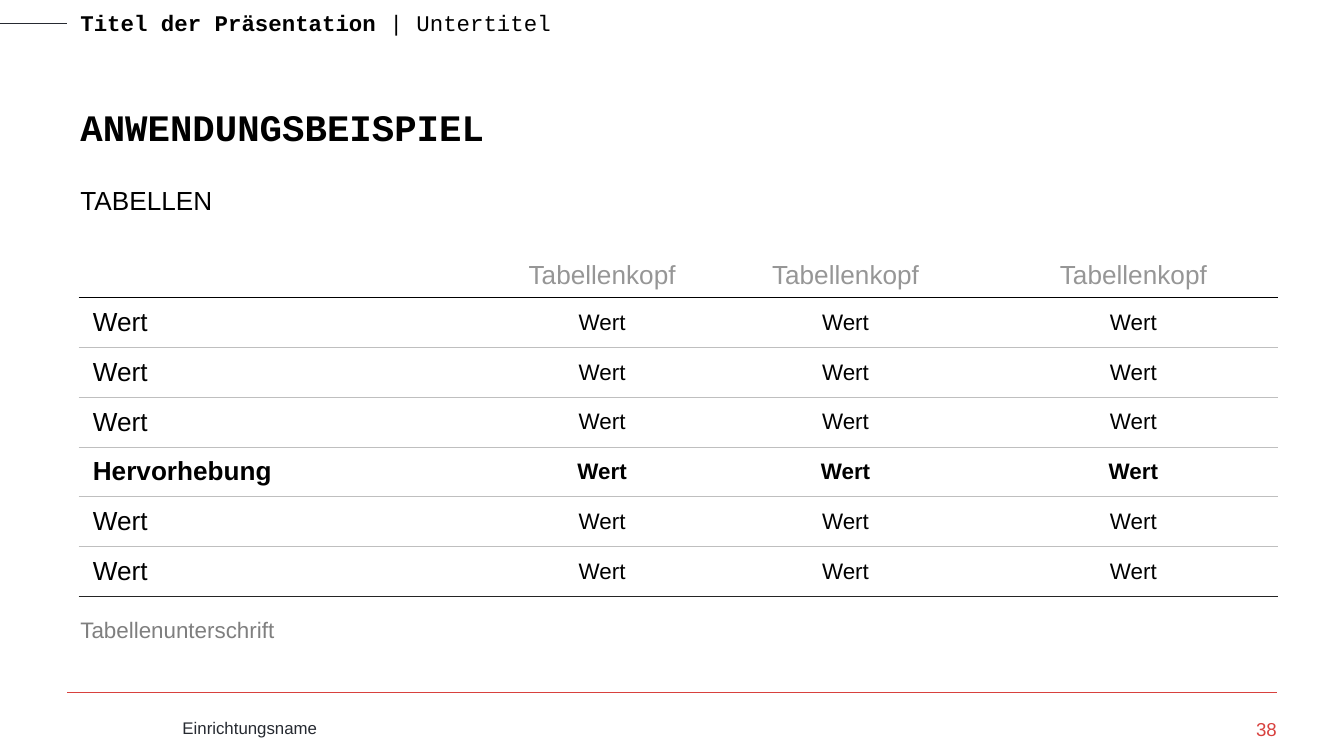
from lxml import etree
from pptx import Presentation
from pptx.dml.color import RGBColor
from pptx.enum.shapes import MSO_CONNECTOR as Connector
from pptx.enum.text import MSO_ANCHOR as Anchor, PP_ALIGN as Align
from pptx.oxml.ns import qn
from pptx.util import Cm, Pt

BLACK = RGBColor(0x00, 0x00, 0x00)
WHITE = RGBColor(0xFF, 0xFF, 0xFF)
INK = RGBColor(0x26, 0x2A, 0x31)
RED = RGBColor(0xD8, 0x41, 0x3E)
CAPTION_GREY = RGBColor(0x7F, 0x7F, 0x7F)
HEAD_GREY = RGBColor(0x96, 0x96, 0x96)
RULE_GREY = RGBColor(0xBF, 0xBF, 0xBF)
END_RULE = RGBColor(0x24, 0x24, 0x24)

SANS = "Arial"
MONO = "Courier New"

LEFT, WIDTH = 1.27, 22.86
COLUMN_WIDTHS = (8.0, 3.76, 5.44, 5.44)
HEAD_HEIGHT, ROW_HEIGHT = 0.84, 0.94
HEADINGS = ("", "Tabellenkopf", "Tabellenkopf", "Tabellenkopf")
ROW_LABELS = ("Wert", "Wert", "Wert", "Hervorhebung", "Wert", "Wert")
HIGHLIGHT = "Hervorhebung"


def style_font(font, size, color, name=SANS, bold=False):
    font.name = name
    font.size = Pt(size)
    font.bold = bold
    font.color.rgb = color


def add_text(page, area, spans, size, color, name=SANS,
             anchor=Anchor.TOP, align=Align.LEFT, inset=True):
    """Add a one-paragraph box; spans are (text, bold) pairs."""
    box = page.shapes.add_textbox(*(Cm(length) for length in area))
    frame = box.text_frame
    frame.word_wrap = True
    frame.vertical_anchor = anchor
    if not inset:
        frame.margin_left = frame.margin_right = 0
        frame.margin_top = frame.margin_bottom = 0
    para = frame.paragraphs[0]
    para.alignment = align
    for text, bold in spans:
        span = para.add_run()
        span.text = text
        style_font(span.font, size, color, name, bold)


def add_rule(page, start, end, y, color):
    rule = page.shapes.add_connector(
        Connector.STRAIGHT, Cm(start), Cm(y), Cm(end), Cm(y))
    rule.line.color.rgb = color
    rule.line.width = Pt(0.25)
    etree.SubElement(rule._element.spPr, qn("a:effectLst"))


def set_border(cell, side, color, width):
    properties = cell._tc.get_or_add_tcPr()
    line = etree.SubElement(properties, qn(f"a:ln{side}"), w=str(Pt(width)))
    fill = etree.SubElement(line, qn("a:solidFill"))
    etree.SubElement(fill, qn("a:srgbClr"), val=str(color))


def fill_cell(cell, text, size, color, bold, align, top, bottom):
    cell.text_frame.text = text
    cell.vertical_anchor = Anchor.MIDDLE
    para = cell.text_frame.paragraphs[0]
    para.alignment = align
    for span in para.runs:
        style_font(span.font, size, color, bold=bold)
    if not text:
        # Keeps the empty cell from stretching its row
        etree.SubElement(para._p, qn("a:endParaRPr"), sz=str(size * 100))

    for side in "LR":
        set_border(cell, side, WHITE, 1)
    if top:
        set_border(cell, "T", *top)
    set_border(cell, "B", *bottom)
    cell.fill.background()


def add_value_table(page):
    row_count = len(ROW_LABELS) + 1
    height = HEAD_HEIGHT + ROW_HEIGHT * len(ROW_LABELS)
    table = page.shapes.add_table(
        row_count, len(COLUMN_WIDTHS), Cm(1.5), Cm(4.78),
        Cm(sum(COLUMN_WIDTHS)), Cm(height)).table
    table.first_row = table.horz_banding = False
    for column, width in zip(table.columns, COLUMN_WIDTHS):
        column.width = Cm(width)
    for index, row in enumerate(table.rows):
        row.height = Cm(ROW_HEIGHT if index else HEAD_HEIGHT)

    # One rule below each row: strong under the head and the last row
    rules = [(RULE_GREY, 0.25)] * row_count
    rules[0] = (BLACK, 0.5)
    rules[-1] = (END_RULE, 0.5)

    for column, heading in enumerate(HEADINGS):
        fill_cell(table.cell(0, column), heading, 14, HEAD_GREY, False,
                  Align.CENTER, None, rules[0])

    for row, label in enumerate(ROW_LABELS, start=1):
        for column in range(len(COLUMN_WIDTHS)):
            text, size, align = (("Wert", 12, Align.CENTER) if column
                                 else (label, 14, Align.LEFT))
            fill_cell(table.cell(row, column), text, size, BLACK,
                      label == HIGHLIGHT, align, rules[row - 1], rules[row])


def main():
    deck = Presentation()
    deck.slide_width, deck.slide_height = Cm(25.4), Cm(14.29)
    page = deck.slides.add_slide(deck.slide_layouts[6])

    # Header
    add_rule(page, 0, LEFT, 0.43, INK)
    add_text(page, (LEFT, 0.05, 19.46, 0.76),
             [("Titel der Präsentation ", True), ("| Untertitel", False)],
             12, BLACK, MONO)

    # Footer
    add_rule(page, LEFT, LEFT + WIDTH, 13.09, RED)
    add_text(page, (3.2, 13.44, 18.85, 0.64),
             [("Einrichtungsname", False)], 9, INK)

    # Title, subtitle and table caption
    add_text(page, (LEFT, 0.84, WIDTH, 2.11),
             [("ANWENDUNGSBEISPIEL", True)], 20, BLACK, MONO, Anchor.BOTTOM)
    add_text(page, (LEFT, 11.53, WIDTH, 1.52),
             [("Tabellenunterschrift", False)], 12, CAPTION_GREY)
    add_text(page, (LEFT, 3.18, WIDTH, 1.02),
             [("TABELLEN", False)], 14, BLACK, anchor=Anchor.BOTTOM)

    # Table
    add_value_table(page)

    # Page number
    add_text(page, (22.07, 13.56, 2.06, 0.56), [("38", False)], 10, RED,
             align=Align.RIGHT, inset=False)

    deck.save("out.pptx")


if __name__ == "__main__":
    main()
